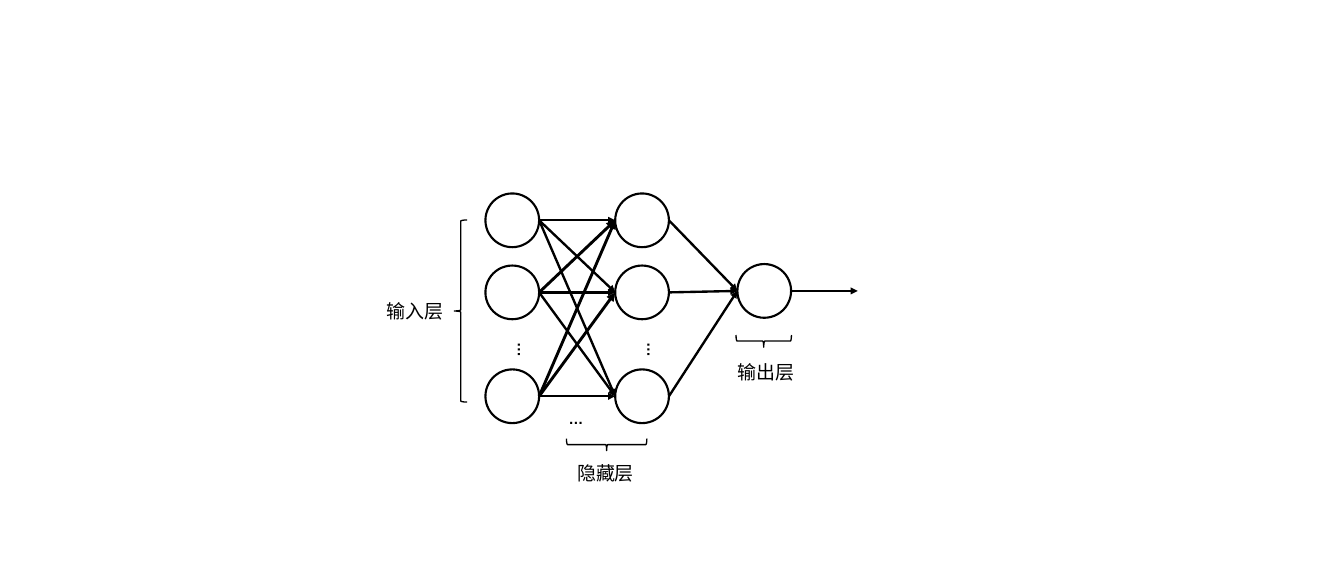
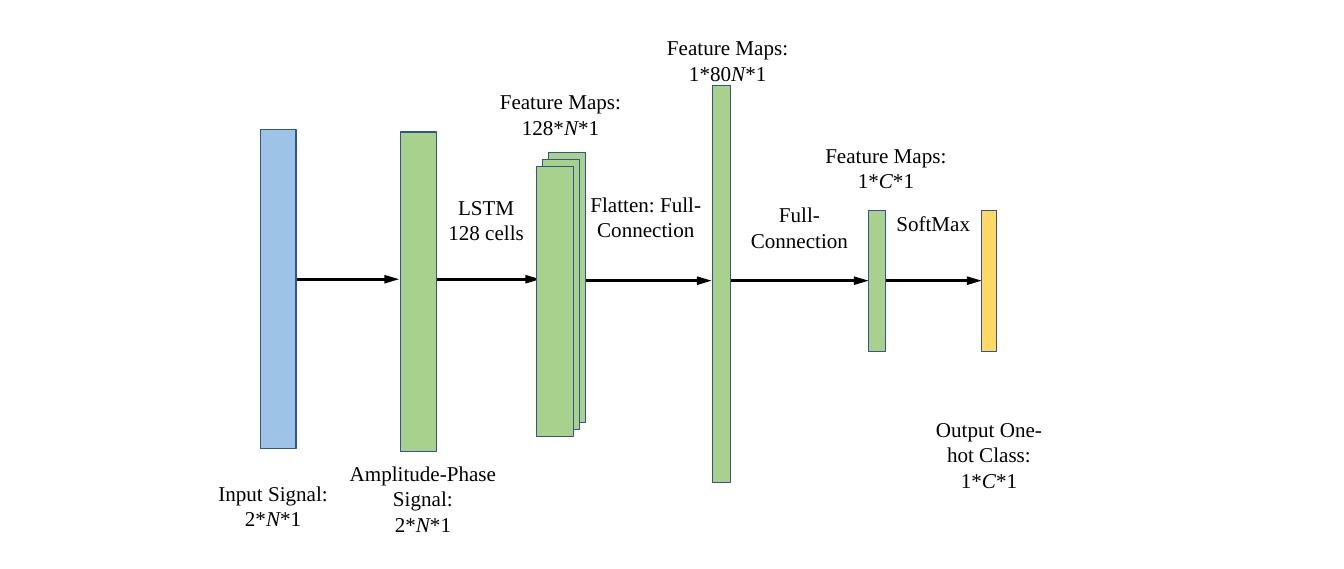
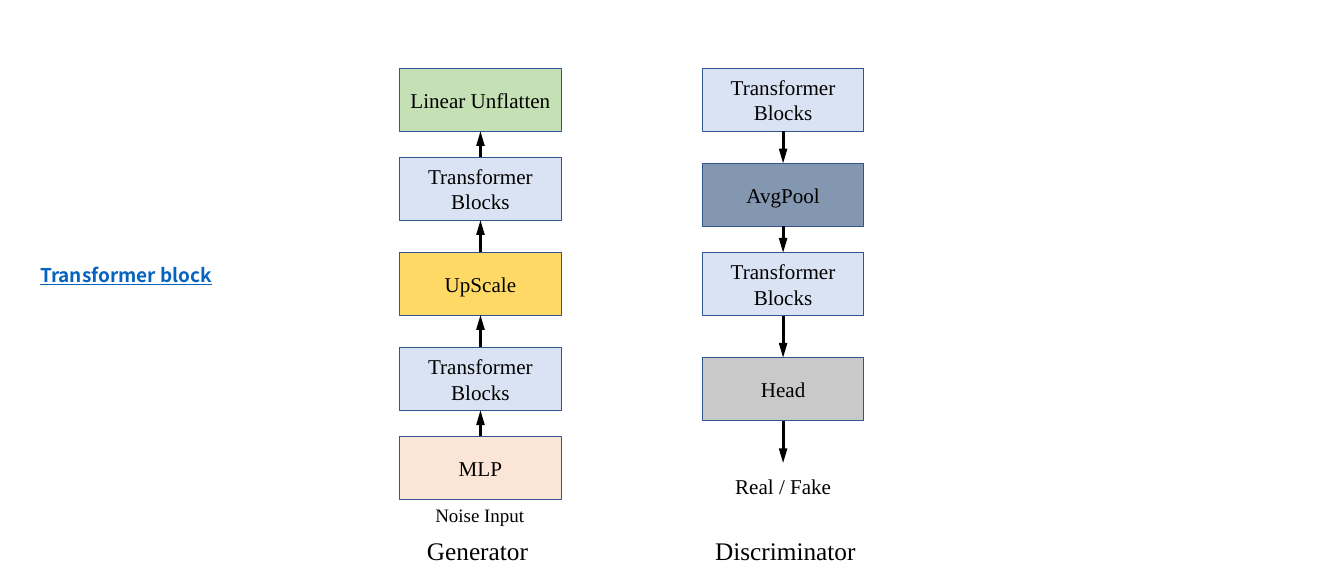
"""Draw three neural network diagrams as editable slides."""
import itertools
from dataclasses import dataclass
from typing import Any, Optional

import lxml.etree
import pptx
import pptx.dml.color
import pptx.enum.shapes
import pptx.enum.text
import pptx.oxml.ns
import pptx.slide
import pptx.util

Pt = pptx.util.Pt
KIND = pptx.enum.shapes.MSO_SHAPE
ALIGN = pptx.enum.text.PP_ALIGN
HUES = {
    "ink": "000000", "white": "FFFFFF", "edge": "325491", "link": "0563C1",
    "blue": "9DC3E6", "green": "A9D18E", "gold": "FFD966", "pale": "DAE3F3",
    "peach": "FBE5D6", "mint": "C5E0B4", "slate": "8497B0", "gray": "C9C9C9",
}
SERIF = {"name": "Times New Roman", "size": Pt(20)}
SONG = {"name": "Noto Sans CJK SC", "size": Pt(18)}
DOTS = {"name": "Arial", "size": Pt(14), "bold": True}
LINK = SONG | {"bold": True, "underline": True}
SMALL = SERIF | {"size": Pt(18)}
LARGE = SERIF | {"size": Pt(24)}


@dataclass(frozen=True)
class Box:
    """Hold a place and a size in points."""
    x: float
    y: float
    w: float
    h: float

    @property
    def mid(self) -> float:
        """Give the height of the centre."""
        return self.y + self.h / 2

    def frame(self) -> tuple:
        """Give the four lengths for a new shape."""
        return Pt(self.x), Pt(self.y), Pt(self.w), Pt(self.h)


@dataclass(frozen=True)
class Bar:
    """Hold a filled bar of data."""
    box: Box
    hue: str


@dataclass(frozen=True)
class Note:
    """Hold a free text and its format."""
    box: Box
    text: str
    font: dict
    align: Optional[Any] = ALIGN.CENTER
    hue: str = "ink"
    vert: bool = False


@dataclass(frozen=True)
class Stack:
    """Hold a column of blocks with arrows between them."""
    x: float
    tops: tuple
    steps: tuple
    up: bool


def tint(name: str) -> pptx.dml.color.RGBColor:
    """Look up a colour."""
    return pptx.dml.color.RGBColor.from_string(HUES[name])


def apply(item: Any, form: dict) -> None:
    """Set each format value on an item."""
    for key, value in form.items():
        setattr(item, key, value)


def child(node: Any, tag: str, **attrs: str) -> None:
    """Add an XML element to a node."""
    lxml.etree.SubElement(node, pptx.oxml.ns.qn(tag), **attrs)


def write(frame: Any, text: str, font: dict, align: Any = ALIGN.CENTER,
          hue: str = "ink") -> None:
    """Fill a text frame, with italics between underscores."""
    frame.word_wrap = True
    for num, line in enumerate(text.split("\n")):
        para = frame.add_paragraph() if num else frame.paragraphs[0]
        para.alignment = align
        for spot, part in enumerate(line.split("_")):
            run = para.add_run()
            run.text = part
            run.font.color.rgb = tint(hue)
            apply(run.font, font | {"italic": spot % 2 == 1})
            child(run.font._element, "a:ea", typeface=font["name"])


def shape(slide: pptx.slide.Slide, kind: Any, box: Box, fill: Optional[str],
          edge: str = "edge", width: float = 1, turn: float = 0) -> Any:
    """Draw a preset shape."""
    item = slide.shapes.add_shape(kind, *box.frame())
    apply(item, {"rotation": turn})
    item.shadow.inherit = False
    if fill:
        item.fill.solid()
        item.fill.fore_color.rgb = tint(fill)
    else:
        item.fill.background()
    item.line.color.rgb = tint(edge)
    item.line.width = Pt(width)
    return item


def arrow(slide: pptx.slide.Slide, start: tuple, end: tuple,
          width: float = 2.75, size: str = "lg") -> None:
    """Draw a straight arrow."""
    item = slide.shapes.add_connector(
        pptx.enum.shapes.MSO_CONNECTOR.STRAIGHT, *map(Pt, start + end))
    item.line.color.rgb = tint("ink")
    item.line.width = Pt(width)
    child(item.line._get_or_add_ln(), "a:tailEnd", type="triangle", w="med", len=size)
    child(item._element.spPr, "a:effectLst")


def notes(slide: pptx.slide.Slide, items: tuple) -> None:
    """Place free texts."""
    for note in items:
        frame = slide.shapes.add_textbox(*note.box.frame()).text_frame
        write(frame, note.text, note.font, note.align, note.hue)
        frame.auto_size = pptx.enum.text.MSO_AUTO_SIZE.SHAPE_TO_FIT_TEXT
        if note.vert:
            frame._txBody.bodyPr.set("vert", "eaVert")


def network(slide: pptx.slide.Slide) -> None:
    """Draw the layers of a plain network."""
    size = 51
    rows = (183.6, 252, 350.6)
    first, hidden = ([Box(x, y, size, size) for y in rows] for x in (460.8, 584))
    out = Box(700, 250.6, size, size)
    for node in (*first, *hidden, out):
        shape(slide, KIND.OVAL, node, "white", "ink", 2)
    pairs = [*itertools.product(first, hidden), *((node, out) for node in hidden)]
    for one, two in pairs:
        rise = one in first and two.y < one.y
        arrow(slide, (one.x + size, one.mid), (two.x, two.mid),
              2.75 if rise else 2.25, "med")
    arrow(slide, (out.x + size, out.mid), (814.3, out.mid), 2.25, "med")
    braces = (
        (Box(431.3, 208.8, 12.2, 172.8), 0),
        (Box(570.2, 383.8, 11.5, 76.3), 270),
        (Box(719.3, 297.4, 11.5, 52.6), 270),
    )
    for box, turn in braces:
        shape(slide, KIND.LEFT_BRACE, box, None, "ink", 1.25, turn)
    notes(slide, (
        *(Note(Box(x, 318.2, 31.7, 36), "…", DOTS, None, vert=True)
          for x in (477.4, 600.5)),
        Note(Box(532.8, 385.2, 51.1, 24.5), "…", DOTS, None),
        Note(Box(540.7, 434.2, 87.1, 28.8), "隐藏层", SONG, None),
        Note(Box(693.4, 339.1, 88.6, 28.8), "输出层", SONG, None),
        Note(Box(360, 280.8, 78.5, 28.8), "输入层", SONG, None),
    ))


def signal(slide: pptx.slide.Slide) -> None:
    """Draw the path from signal to class."""
    spans = ((280.1, 378.7, 265), (414.7, 512.6, 265), (545.8, 675.4, 266.4),
             (691.2, 824.4, 266.4), (841, 931.7, 266.4))
    for left, right, y in spans:
        arrow(slide, (left, y), (right, y))
    bars = (
        Bar(Box(247, 123.1, 34, 303), "blue"),
        Bar(Box(380.2, 125.3, 34, 303), "green"),
        *(Bar(Box(520.6 - 5.8 * i, 144.7 + 6.5 * i, 35.3, 256.3), "green")
          for i in range(3)),
        Bar(Box(676, 81.4, 17.3, 376.6), "green"),
        Bar(Box(824.4, 199.4, 15.8, 134.6), "green"),
        Bar(Box(931.7, 199.4, 14.4, 134.6), "gold"),
    )
    for bar in bars:
        shape(slide, KIND.RECTANGLE, bar.box, bar.hue)
    notes(slide, (
        Note(Box(598.3, 29.5, 185, 55.4), "Feature Maps:\n1*80_N_*1", SERIF),
        Note(Box(411.8, 180.7, 99.4, 55.4), "LSTM\n128 cells", SERIF),
        Note(Box(551.5, 177.8, 123.1, 55.4), "Flatten: Full- Connection", SERIF),
        Note(Box(697, 187.9, 123.8, 55.4), "Full-Connection", SERIF),
        Note(Box(180.7, 452.2, 157, 55.4), "Input Signal:\n2*_N_*1", SERIF),
        Note(Box(456.5, 80.6, 151.2, 55.4), "Feature Maps:\n128*_N_*1", SERIF),
        Note(Box(769.7, 131.8, 142.6, 55.4), "Feature Maps:\n1*_C_*1", SERIF),
        Note(Box(872.6, 391.7, 132.5, 79.9), "Output One-hot Class:\n1*_C_*1", SERIF),
        Note(Box(828.7, 196.6, 114.5, 31.7), "SoftMax", SERIF),
        Note(Box(311.8, 433.4, 179.3, 79.9), "Amplitude-Phase Signal:\n2*_N_*1", SERIF),
    ))


def models(slide: pptx.slide.Slide) -> None:
    """Draw the two stacks of blocks."""
    wide, high = 153.4, 60
    block = ("Transformer Blocks", "pale")
    stacks = (
        Stack(379.4, (64.8, 149.2, 239.2, 329.6, 414),
              (("Linear Unflatten", "mint"), block, ("UpScale", "gold"), block,
               ("MLP", "peach")), True),
        Stack(666.7, (64.8, 154.8, 239.6, 339.2),
              (block, ("AvgPool", "slate"), block, ("Head", "gray")), False),
    )
    for stack in stacks:
        for top, (text, hue) in zip(stack.tops, stack.steps):
            item = shape(slide, KIND.RECTANGLE, Box(stack.x, top, wide, high), hue)
            item.text_frame.vertical_anchor = pptx.enum.text.MSO_ANCHOR.MIDDLE
            write(item.text_frame, text, SERIF)
        mid = stack.x + wide / 2
        stops = stack.tops if stack.up else (*stack.tops, 439.2)
        for top, low in itertools.pairwise(stops):
            ends = (mid, top + high), (mid, low)
            arrow(slide, *(reversed(ends) if stack.up else ends))
    notes(slide, (
        Note(Box(31, 246.2, 193.7, 28.8), "Transformer block", LINK, None, "link"),
        Note(Box(398.2, 474.5, 114.5, 28.8), "Noise Input", SMALL),
        Note(Box(686.2, 445.7, 114.5, 31.7), "Real / Fake", SERIF),
        Note(Box(398.2, 504.7, 180, 36), "Generator", LARGE, None),
        Note(Box(671.8, 504, 180, 36), "Discriminator", LARGE, None),
    ))


def main() -> None:
    """Build and save the slides."""
    deck = pptx.Presentation()
    apply(deck, {"slide_width": Pt(1275.84), "slide_height": Pt(540)})
    for draw in (network, signal, models):
        draw(deck.slides.add_slide(deck.slide_layouts[6]))
    deck.save("out.pptx")


if __name__ == "__main__":
    main()
